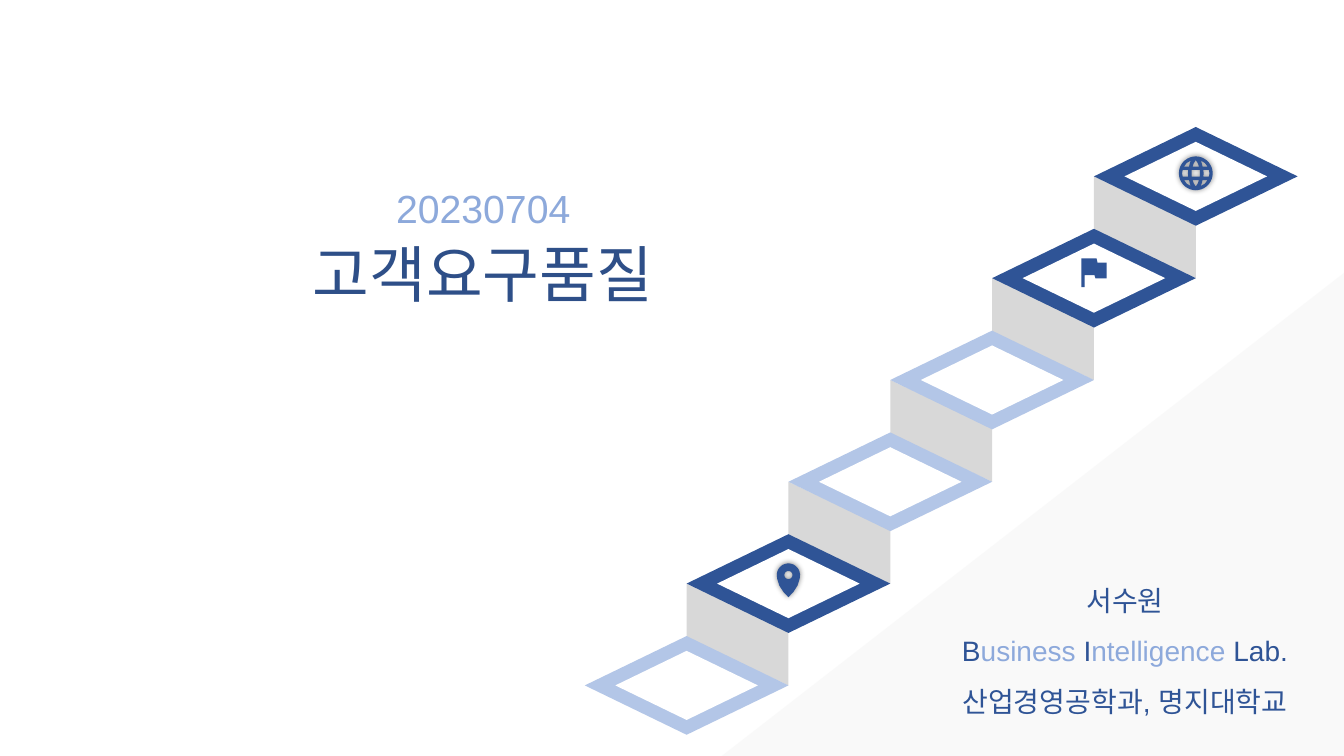
"""Build a title slide with a rising flight of diamond steps."""
import math
import pptx
import pptx.dml.color
import pptx.enum.shapes
import pptx.enum.text
import pptx.oxml
import pptx.oxml.ns
import pptx.util

INK = {"navy": "2F5496", "title": "2E4F88", "sky": "8DA9DB", "pale": "B3C6E7",
       "gray": "D8D8D8", "mist": "F2F2F2", "white": "FFFFFF"}
WIDE, HIGH = 13.33, 7.5
CELL, LEFT, BASE = 1.01, 5.8, 6.8
KIND = pptx.enum.shapes.MSO_SHAPE
TEXT = pptx.enum.text
STEPS = ["pale", "navy", "pale", "pale", "navy", "navy"]


def rgb(name):
    """Return the named colour."""
    return pptx.dml.color.RGBColor.from_string(INK[name])


def spot(col, row):
    """Return the place of a grid point, rows counted upward."""
    return pptx.util.Inches(LEFT + col * CELL), pptx.util.Inches(BASE - row * CELL)


def share(left, top, wide, high):
    """Turn percentages of the slide into lengths."""
    return [pptx.util.Inches(part * side / 100)
            for part, side in zip((left, top, wide, high), (WIDE, HIGH, WIDE, HIGH))]


def paint(shape, ink):
    """Give a shape a plain fill without line or shadow."""
    shape.shadow.inherit = False
    shape.fill.solid()
    shape.fill.fore_color.rgb = rgb(ink)
    shape.line.fill.background()
    return shape


def block(slide, kind, mid, wide, high, ink):
    """Draw a preset shape centred on a grid point, sized in cells."""
    x, y = spot(*mid)
    w, h = (pptx.util.Inches(size * CELL) for size in (wide, high))
    return paint(slide.shapes.add_shape(kind, x - w // 2, y - h // 2, w, h), ink)


def riser(slide, step):
    """Draw the gray face below a step."""
    face = block(slide, KIND.PARALLELOGRAM, (step + 0.5, step - 0.5), 1, 1, "gray")
    face.rotation = 270
    face.adjustments[0] = 0.47


def tile(slide, step, ink):
    """Draw the framed diamond on top of a step."""
    for scale, tone in ((1, ink), (0.7, "white")):
        block(slide, KIND.DIAMOND, (step + 1, step), 2 * scale, 0.97 * scale, tone)


def ring(size, y=0, start=0, sweep=360):
    """Return points of an arc, in thousandths of an inch."""
    turns = [math.radians(start + sweep * n / 36) for n in range(37)]
    return [(size * math.cos(a), y + size * math.sin(a)) for a in turns]


def flip(points, x, y):
    """Mirror points by the given signs."""
    return [(x * px, y * py) for px, py in points]


def pin():
    """Return the outlines of the map pin."""
    side = [(112, -20), (90, 50), (50, 112)]
    body = ring(115, -55, 180, 180) + side + [(0, 165)] + flip(side[::-1], -1, 1)
    return [body, ring(40, -55)]


def globe():
    """Return the outlines of the globe."""
    core = [(-40, -34), (40, -34), (40, 34), (-40, 34)]
    edge = [(75, -34), (130, -34), (136, 0), (130, 34), (75, 34), (78, 0)]
    lens = [(0, -132), (20, -100), (32, -67), (-32, -67), (-20, -100)]
    nook = [(67, -67), (117, -67), (90, -103), (50, -126), (60, -97)]
    sides = [flip(edge, x, 1) for x in (1, -1)]
    poles = [flip(lens, 1, y) for y in (1, -1)]
    nooks = [flip(nook, x, y) for x in (1, -1) for y in (1, -1)]
    return [ring(168), core] + sides + poles + nooks


def flag():
    """Return the outline of the flag."""
    return [[(35, -125), (25, -167), (-125, -167), (-125, 120), (-92, 120),
             (-92, 0), (5, 0), (15, 33), (125, 33), (125, -125)]]


def icon(slide, step, paths, glow):
    """Draw an icon in the middle of a step."""
    pen = slide.shapes.build_freeform(*paths[0][0], scale=914.4)
    pen.add_line_segments(paths[0][1:], close=True)
    for path in paths[1:]:
        pen.move_to(*path[0])
        pen.add_line_segments(path[1:], close=True)
    shape = paint(pen.convert_to_shape(*spot(step + 1, step + 0.03)), "navy")
    if glow:
        shade = pptx.oxml.parse_xml(
            f'<a:outerShdw {pptx.oxml.ns.nsdecls("a")} blurRad="50800" algn="ctr" '
            'rotWithShape="0"><a:srgbClr val="000000"><a:alpha val="45000"/>'
            '</a:srgbClr></a:outerShdw>')
        shape._element.spPr.find(pptx.oxml.ns.qn("a:effectLst")).append(shade)


def label(slide, area, size, lines, space=1):
    """Write centred lines of coloured runs."""
    frame = slide.shapes.add_textbox(*share(*area)).text_frame
    form = {"word_wrap": True, "vertical_anchor": TEXT.MSO_ANCHOR.MIDDLE,
            "auto_size": TEXT.MSO_AUTO_SIZE.SHAPE_TO_FIT_TEXT, "margin_left": 0,
            "margin_right": 0, "margin_top": 0, "margin_bottom": 0}
    for key, value in form.items():
        setattr(frame, key, value)
    for n, line in enumerate(lines):
        para = frame.add_paragraph() if n else frame.paragraphs[0]
        para.alignment = TEXT.PP_ALIGN.CENTER
        para.line_spacing = space
        for words, ink in line:
            run = para.add_run()
            run.text = words
            for key, value in {"name": "Arial", "size": pptx.util.Pt(size)}.items():
                setattr(run.font, key, value)
            run.font.color.rgb = rgb(ink)


def slope(slide):
    """Draw the faint triangle in the lower right corner."""
    area = share(53.7, 36.1, 46.3, 63.9)
    shape = paint(slide.shapes.add_shape(KIND.RIGHT_TRIANGLE, *area), "mist")
    shape._element.spPr.xfrm.set("flipH", "1")
    tone = shape._element.spPr.find(".//" + pptx.oxml.ns.qn("a:srgbClr"))
    tone.append(pptx.oxml.parse_xml(
        f'<a:alpha {pptx.oxml.ns.nsdecls("a")} val="40000"/>'))


def main():
    """Build the slide and save it."""
    deck = pptx.Presentation()
    deck.slide_width, deck.slide_height = (pptx.util.Inches(n) for n in (WIDE, HIGH))
    slide = deck.slides.add_slide(deck.slide_layouts[6])
    slope(slide)
    for step in range(1, len(STEPS)):
        riser(slide, step)
    for step, ink in enumerate(STEPS):
        tile(slide, step, ink)
    for step, paths, glow in ((1, pin(), True), (5, globe(), True), (4, flag(), False)):
        icon(slide, step, paths, glow)
    label(slide, (3.4, 31.1, 65.1, 9.9), 44, [[("고객요구품질", "title")]])
    label(slide, (3.4, 24.3, 65.1, 6.3), 28, [[("20230704", "sky")]])
    label(slide, (69.9, 74.9, 27.6, 20.1), 20, [
        [("서수원", "navy")],
        [("B", "navy"), ("usiness ", "sky"), ("I", "navy"),
         ("ntelligence ", "sky"), ("Lab.", "navy")],
        [("산업경영공학과, 명지대학교", "navy")]], 1.5)
    deck.save("out.pptx")


if __name__ == "__main__":
    main()
